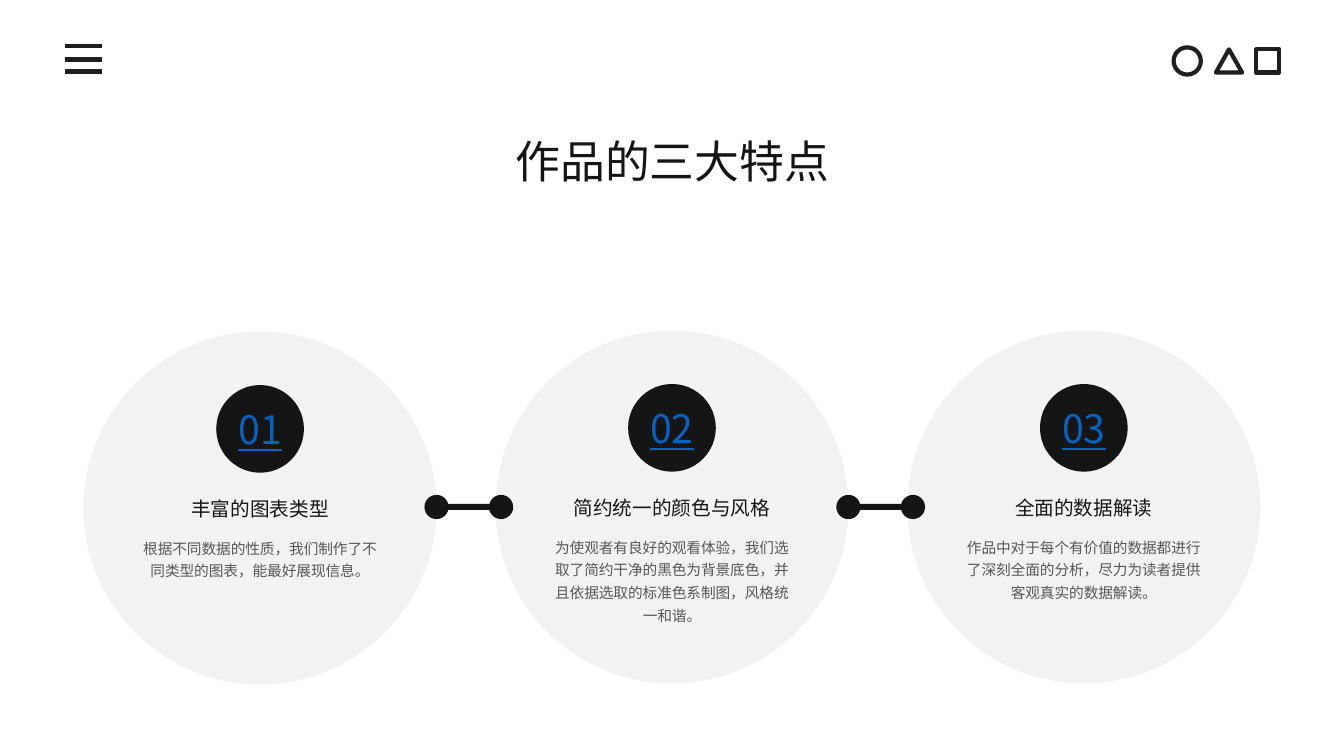
from dataclasses import dataclass

from lxml import etree
from pptx import Presentation
from pptx.dml.color import RGBColor
from pptx.enum.shapes import MSO_CONNECTOR, MSO_SHAPE
from pptx.enum.text import MSO_ANCHOR, MSO_AUTO_SIZE, PP_ALIGN
from pptx.oxml.ns import qn
from pptx.util import Inches, Pt

OVAL, TRIANGLE, RECTANGLE = MSO_SHAPE.OVAL, MSO_SHAPE.ISOSCELES_TRIANGLE, MSO_SHAPE.RECTANGLE
STRAIGHT = MSO_CONNECTOR.STRAIGHT
CENTER = PP_ALIGN.CENTER
TOP, MIDDLE = MSO_ANCHOR.TOP, MSO_ANCHOR.MIDDLE
TITLE_ONLY = 5

TITLE = "作品的三大特点"
# number, heading, description, vertical shift in inches
FEATURES = [
    ("01", "丰富的图表类型", "根据不同数据的性质，我们制作了不同类型的图表，能最好展现信息。", 0.01),
    ("02", "简约统一的颜色与风格",
     "为使观者有良好的观看体验，我们选取了简约干净的黑色为背景底色，并且依据选取的标准色系制图，风格统一和谐。", 0),
    ("03", "全面的数据解读",
     "作品中对于每个有价值的数据都进行了深刻全面的分析，尽力为读者提供客观真实的数据解读。", 0),
]
MENU_LINES = [0.46, 0.59, 0.71]
CORNER_ICONS = [
    (OVAL, 11.64, 0.47, 0.27, 0.27),
    (TRIANGLE, 12.06, 0.49, 0.26, 0.23),
    (RECTANGLE, 12.46, 0.49, 0.23, 0.23),
]


@dataclass(frozen=True)
class Theme:
    font: str = "Noto Sans CJK SC"
    ink: str = "151516"
    icon: str = "1F1F1F"
    body: str = "575758"
    number: str = "0563C1"
    disc: str = "F2F2F2"
    title_size: float = 32
    number_size: float = 28
    heading_size: float = 14
    body_size: float = 10.5
    icon_width: float = 3


THEME = Theme()
FIRST_CENTER, PITCH = 2.58, 4.085
DISC_TOP, DISC_SIZE = 3.28, 3.5
BADGE_TOP, BADGE_SIZE = 3.81, 0.87
HEADING_TOP, BODY_TOP, TEXT_WIDTH = 4.87, 5.24, 2.65
LINK_LEFT, LINK_TOP, DOT_SIZE, DOT_STEP = 4.21, 4.91, 0.24, 0.64
BAR_OFFSET, BAR_WIDTH, BAR_HEIGHT = 0.17, 0.6, 0.06


def inches(*lengths):
    return [Inches(length) for length in lengths]


def color(code):
    return RGBColor.from_string(code)


def add_filled(slide, kind, left, top, width, height, fill):
    shape = slide.shapes.add_shape(kind, *inches(left, top, width, height))
    shape.shadow.inherit = False
    shape.fill.solid()
    shape.fill.fore_color.rgb = color(fill)
    shape.line.fill.background()
    return shape


def write(shape, text, size, text_color, anchor=TOP, spacing=None, underline=None):
    """Put one centred paragraph into the shape, with Latin and East Asian fonts set."""
    frame = shape.text_frame
    frame.text = text
    frame.word_wrap = True
    frame.vertical_anchor = anchor
    paragraph = frame.paragraphs[0]
    paragraph.alignment = CENTER
    paragraph.line_spacing = spacing
    font = paragraph.runs[0].font
    font.size = Pt(size)
    font.color.rgb = color(text_color)
    font.underline = underline
    font.name = THEME.font
    latin = font._element.find(qn("a:latin"))
    east_asian = etree.Element(qn("a:ea"), typeface=THEME.font)
    latin.addnext(east_asian)


def add_text(slide, left, top, width, height, text, size, text_color, spacing=None):
    box = slide.shapes.add_textbox(*inches(left, top, width, height))
    write(box, text, size, text_color, spacing=spacing)
    box.text_frame.auto_size = MSO_AUTO_SIZE.SHAPE_TO_FIT_TEXT


def add_feature(slide, center, number, heading, description, shift):
    text_left = center - TEXT_WIDTH / 2
    add_text(slide, text_left, HEADING_TOP + shift, TEXT_WIDTH, 0.34,
             heading, THEME.heading_size, THEME.ink)
    add_text(slide, text_left, BODY_TOP + shift, TEXT_WIDTH, 0.77,
             description, THEME.body_size, THEME.body, spacing=1.3)
    badge = add_filled(slide, OVAL, center - BADGE_SIZE / 2, BADGE_TOP + shift,
                       BADGE_SIZE, BADGE_SIZE, THEME.ink)
    frame = badge.text_frame
    frame.margin_left = frame.margin_right = frame.margin_top = frame.margin_bottom = 0
    write(badge, number, THEME.number_size, THEME.number, anchor=MIDDLE, underline=True)


def add_link(slide, left):
    """Draw two dots joined by a bar between neighbouring discs."""
    for dot_left in (left, left + DOT_STEP):
        add_filled(slide, OVAL, dot_left, LINK_TOP, DOT_SIZE, DOT_SIZE, THEME.ink)
    bar_top = LINK_TOP + (DOT_SIZE - BAR_HEIGHT) / 2
    add_filled(slide, RECTANGLE, left + BAR_OFFSET, bar_top, BAR_WIDTH, BAR_HEIGHT, THEME.ink)


def style_icon_line(line):
    line.color.rgb = color(THEME.icon)
    line.width = Pt(THEME.icon_width)


def add_header_icons(slide):
    for y in MENU_LINES:
        connector = slide.shapes.add_connector(STRAIGHT, *inches(0.64, y, 1.01, y))
        style_icon_line(connector.line)
        etree.SubElement(connector._element.spPr, qn("a:effectLst"))
    for kind, *box in CORNER_ICONS:
        icon = slide.shapes.add_shape(kind, *inches(*box))
        icon.shadow.inherit = False
        icon.fill.background()
        style_icon_line(icon.line)


def main():
    presentation = Presentation()
    presentation.slide_width, presentation.slide_height = inches(13.33, 7.5)
    slide = presentation.slides.add_slide(presentation.slide_layouts[TITLE_ONLY])

    title = slide.shapes.title
    title.left, title.top, title.width, title.height = inches(0.8, 1.28, 11.74, 0.64)
    write(title, TITLE, THEME.title_size, THEME.ink)
    title.text_frame.auto_size = MSO_AUTO_SIZE.SHAPE_TO_FIT_TEXT

    centers = [FIRST_CENTER + index * PITCH for index in range(len(FEATURES))]
    for center, feature in zip(centers, FEATURES):
        add_filled(slide, OVAL, center - DISC_SIZE / 2, DISC_TOP + feature[-1],
                   DISC_SIZE, DISC_SIZE, THEME.disc)
    for center, feature in zip(centers, FEATURES):
        add_feature(slide, center, *feature)
    for index in range(len(FEATURES) - 1):
        add_link(slide, LINK_LEFT + index * PITCH)
    add_header_icons(slide)

    presentation.save("out.pptx")


if __name__ == "__main__":
    main()
